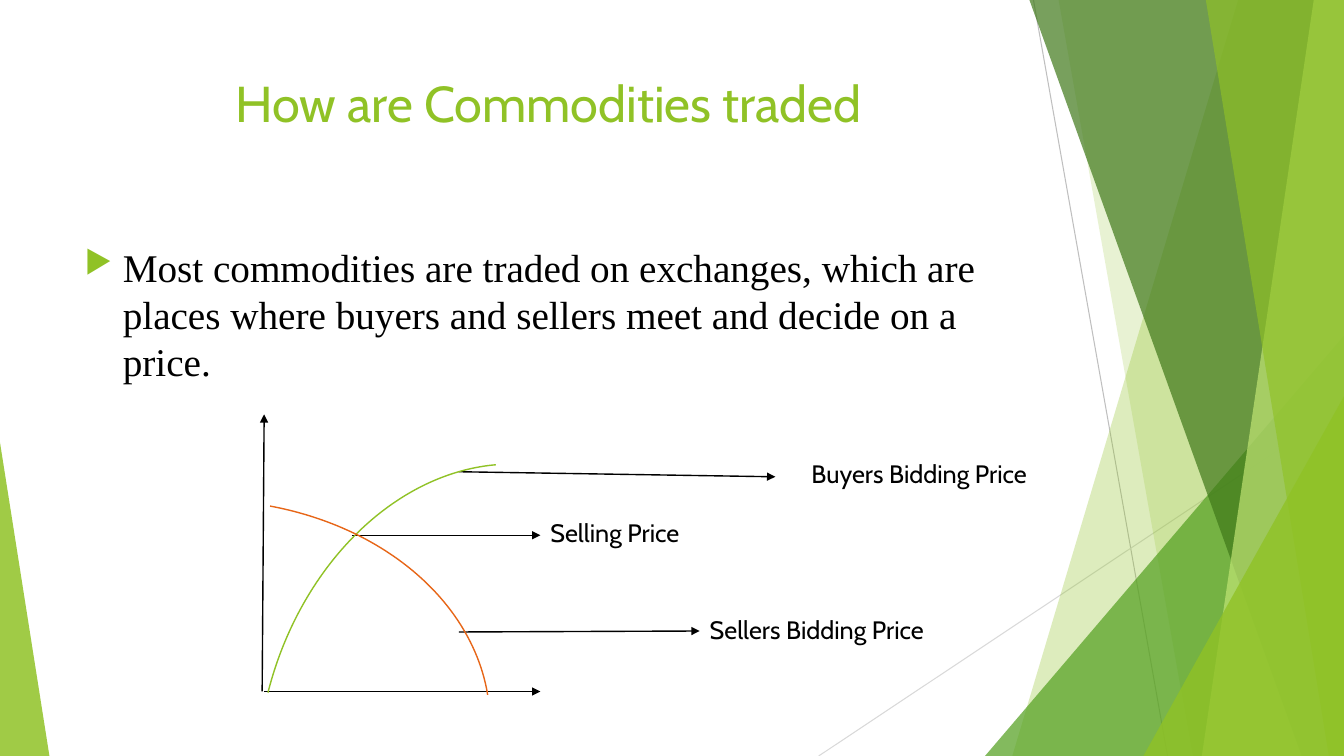
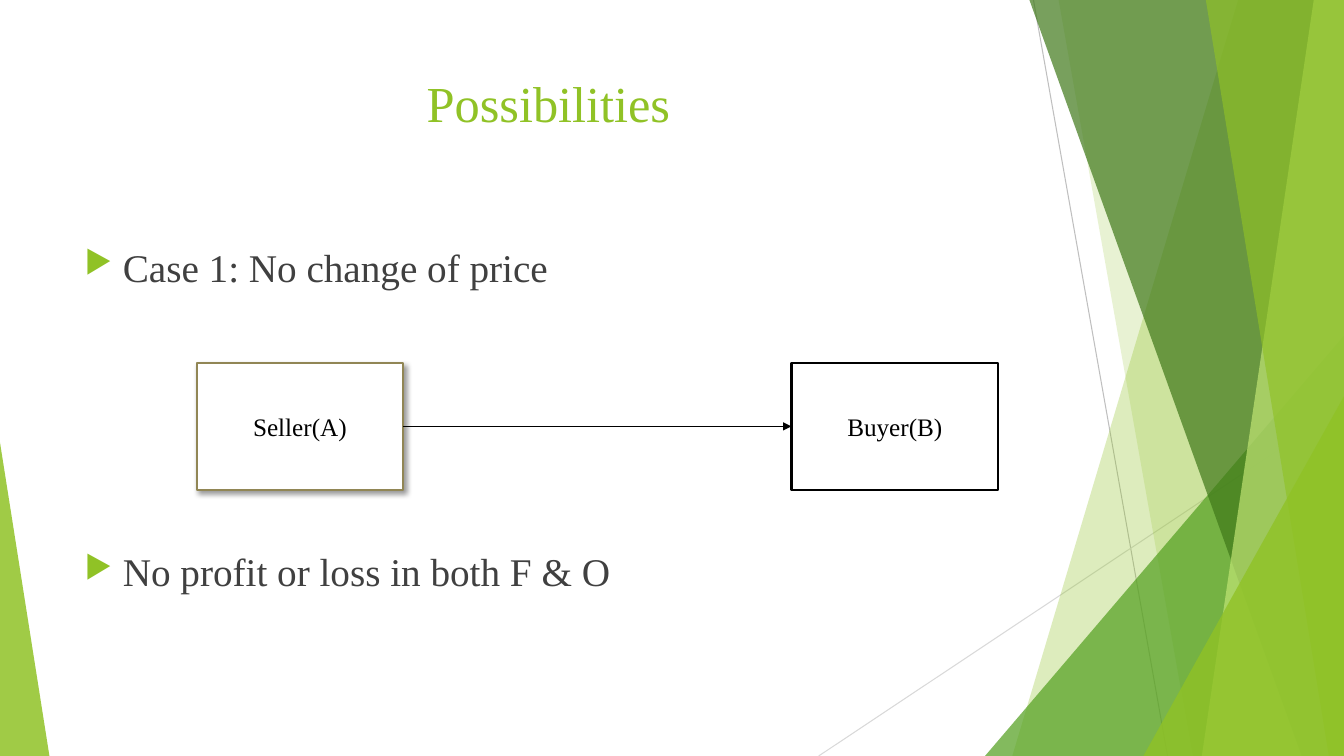
from dataclasses import dataclass

from lxml import etree
from pptx import Presentation, util as u
from pptx.dml.color import RGBColor
from pptx.enum import shapes, text
from pptx.oxml.ns import qn


@dataclass(frozen=True)
class Theme:
    """Colours, fonts, type sizes and page size of the deck."""
    wide: float = 13.33
    high: float = 7.5
    lime: str = "90C226"
    leaf: str = "54A021"
    moss: str = "3F7819"
    pale: str = "C0E474"
    rust: str = "E76618"
    tan: str = "918655"
    ink: str = "000000"
    gray: str = "404040"
    white: str = "FFFFFF"
    mist: str = "BFBFBF"
    haze: str = "D9D9D9"
    sans: str = "Cabin"
    serif: str = "Times New Roman"
    head: int = 36
    body: int = 28
    note: int = 18


T = Theme()

BACK = [
    ("band", (12.28, 10.04), T.lime, 30),
    ("band", (10.5, 11.83), T.lime, 20),
    ("wedge", (9.77, 3.33, 3.56, 4.17, 1), T.leaf, 72),
    ("band", (10.21, 12.91), T.moss, 70),
    ("band", (13.03, 11.92), T.pale, 70),
    ("band", (11.96, 13.18), T.lime, 65),
    ("wedge", (11.34, 3.93, 1.99, 3.57, 1), T.lime, 80),
    ("wedge", (0, 4.39, 0.49, 3.11, 0), T.lime, 85),
]


def inch(*nums):
    """Turn numbers into lengths."""
    return [u.Inches(n) for n in nums]


def add(node, tag, **attrs):
    """Append a child with attributes to an XML node."""
    kid = etree.SubElement(node, qn(tag))
    for key, val in attrs.items():
        kid.set(key, str(val))
    return kid


class Deck:
    """Holds the style and the current slide."""

    def __init__(self):
        """Start an empty deck of the right size."""
        self.prs = Presentation()
        self.prs.slide_width, self.prs.slide_height = inch(T.wide, T.high)

    def page(self, title, font):
        """Start a slide with the shared backdrop and a title."""
        self.slide = self.prs.slides.add_slide(self.prs.slide_layouts[6])
        self.draw = self.slide.shapes
        self.line((10.25, 0), (11.58, T.high), T.mist, 0.75, False)
        self.line((T.wide, 4.03), (8.12, T.high), T.haze, 0.75, False)
        make = {"band": self.band, "wedge": self.wedge}
        for kind, spot, tint, alpha in BACK:
            make[kind](spot, tint, alpha)
        frame = self.frame(0.74, 0.67, 9.4, 1.44)
        self.words(frame.paragraphs[0], title, T.head, font, T.lime, True)

    def glaze(self, shape, tint, alpha):
        """Fill a shape with a see-through colour and no outline."""
        shape.shadow.inherit = False
        shape.fill.solid()
        shape.fill.fore_color.rgb = RGBColor.from_string(tint)
        shape.line.fill.background()
        tone = shape.element.spPr.find(".//" + qn("a:srgbClr"))
        add(tone, "a:alpha", val=alpha * 1000)

    def band(self, spot, tint, alpha):
        """Draw a slanted band that runs to the right edge."""
        top, foot = spot
        pen = self.draw.build_freeform(*inch(top, 0))
        pen.add_line_segments([
            inch(T.wide, 0), inch(T.wide, T.high), inch(foot, T.high)])
        self.glaze(pen.convert_to_shape(), tint, alpha)

    def wedge(self, spot, tint, alpha):
        """Draw a right-angled triangle."""
        *place, tip = spot
        shape = self.draw.add_shape(
            shapes.MSO_SHAPE.ISOSCELES_TRIANGLE, *inch(*place))
        shape.adjustments[0] = tip
        self.glaze(shape, tint, alpha)

    def line(self, start, end, tint=T.ink, width=1, arrow=True):
        """Draw a straight line, with an arrowhead if wanted."""
        line = self.draw.add_connector(
            shapes.MSO_CONNECTOR.STRAIGHT, *inch(*start, *end))
        line.line.color.rgb = RGBColor.from_string(tint)
        line.line.width = u.Pt(width)
        props = line.element.spPr
        if arrow:
            add(props.find(qn("a:ln")), "a:tailEnd", type="triangle")
        add(props, "a:effectLst")
        return line

    def link(self, left, right):
        """Join two boxes by an arrow, side to side."""
        line = self.line((0, 0), (1, 1))
        line.begin_connect(left, 3)
        line.end_connect(right, 1)

    def arc(self, place, span, tint, turn=0):
        """Draw an open arc."""
        shape = self.draw.add_shape(shapes.MSO_SHAPE.ARC, *inch(*place))
        shape.adjustments[0], shape.adjustments[1] = span
        shape.rotation = turn
        shape.shadow.inherit = False
        shape.fill.background()
        shape.line.color.rgb = RGBColor.from_string(tint)
        shape.line.width = u.Pt(1)

    def frame(self, *place):
        """Add a wrapping text box and return its frame."""
        frame = self.draw.add_textbox(*inch(*place)).text_frame
        frame.word_wrap = True
        return frame

    def words(self, para, words, size, font, tint, mid=False):
        """Set the text of a paragraph and style it."""
        para.text = words
        para.alignment = text.PP_ALIGN.CENTER if mid else text.PP_ALIGN.LEFT
        for run in para.runs:
            run.font.size = u.Pt(size)
            run.font.name = font
            run.font.color.rgb = RGBColor.from_string(tint)

    def list(self, items, tint, gap=10):
        """Add the body bullets, with a gap before each later one."""
        frame = self.frame(0.74, 2.36, 9.4, 4.24)
        for num, words in enumerate(items):
            para = frame.add_paragraph() if num else frame.paragraphs[0]
            self.words(para, words, T.body, T.serif, tint)
            para.space_before = u.Pt(gap if num else 10)
            props = para._p.get_or_add_pPr()
            dent = u.Inches(0.38)
            props.set("marL", str(dent))
            props.set("indent", str(-dent))
            add(add(props, "a:buClr"), "a:srgbClr", val=T.lime)
            add(props, "a:buSzPct", val=80000)
            add(props, "a:buChar", char="▶")

    def label(self, words, left, top, width):
        """Add a short chart label."""
        frame = self.frame(left, top, width, 0.4)
        self.words(frame.paragraphs[0], words, T.note, T.sans, T.ink)

    def box(self, words, left, edge, shade=False):
        """Add a white box with centred text."""
        shape = self.draw.add_shape(
            shapes.MSO_SHAPE.RECTANGLE, *inch(left, 3.6, 2.05, 1.26))
        shape.shadow.inherit = False
        shape.fill.solid()
        shape.fill.fore_color.rgb = RGBColor.from_string(T.white)
        shape.line.color.rgb = RGBColor.from_string(edge)
        shape.line.width = u.Pt(1.5)
        if shade:
            glow = add(shape.element.spPr.find(qn("a:effectLst")),
                       "a:outerShdw", blurRad=u.Pt(4), dist=u.Pt(3),
                       dir=45 * 60000, algn="tl", rotWithShape=0)
            add(add(glow, "a:srgbClr", val=T.ink), "a:alpha", val=40000)
        frame = shape.text_frame
        frame.vertical_anchor = text.MSO_ANCHOR.MIDDLE
        self.words(frame.paragraphs[0], words, T.note, T.serif, T.ink, True)
        return shape


def trade(deck):
    """Build the slide on how prices are found."""
    deck.page("How are Commodities traded", T.sans)
    deck.list(["Most commodities are traded on exchanges, which are places "
               "where buyers and sellers meet and decide on a price."], T.ink)
    deck.line((2.62, 6.86), (5.36, 6.86))
    deck.line((2.6, 6.86), (2.62, 4.11))
    for words, start, end, spot in [
        ("Selling Price", (3.49, 5.31), (5.36, 5.31), (5.36, 5.08, 1.58)),
        ("Sellers Bidding Price", (4.55, 6.27), (6.94, 6.26),
         (6.94, 6.05, 2.49)),
        ("Buyers Bidding Price", (4.55, 4.68), (7.69, 4.73),
         (7.95, 4.5, 2.49)),
    ]:
        deck.line(start, end)
        deck.label(words, *spot)
    deck.arc((1.96, 5.2, 5.69, 4.43), (162, 208.86), T.lime, 284.2)
    deck.arc((-0.83, 4.96, 5.69, 4.43), (172.28, 212.59), T.rust)


def cases(deck):
    """Build the slide on the first case."""
    deck.page("Possibilities", T.serif)
    deck.list(["Case 1: No change of price",
               "No profit or loss in both F & O"], T.gray, 184)
    seller = deck.box("Seller(A)", 1.95, T.tan, True)
    buyer = deck.box("Buyer(B)", 7.85, T.ink)
    deck.link(seller, buyer)


def main():
    """Build and save the deck."""
    deck = Deck()
    trade(deck)
    cases(deck)
    deck.prs.save("out.pptx")


if __name__ == "__main__":
    main()
